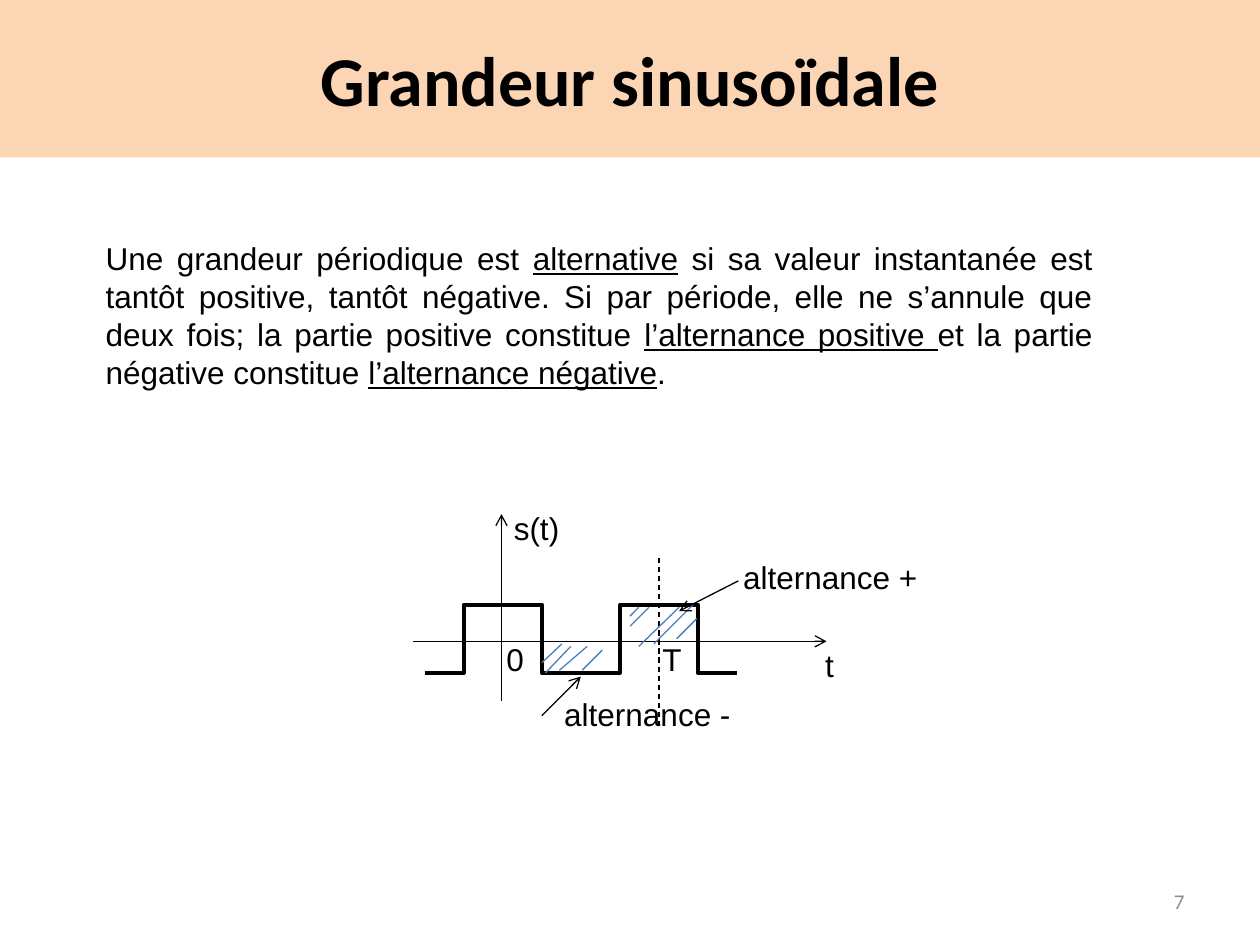
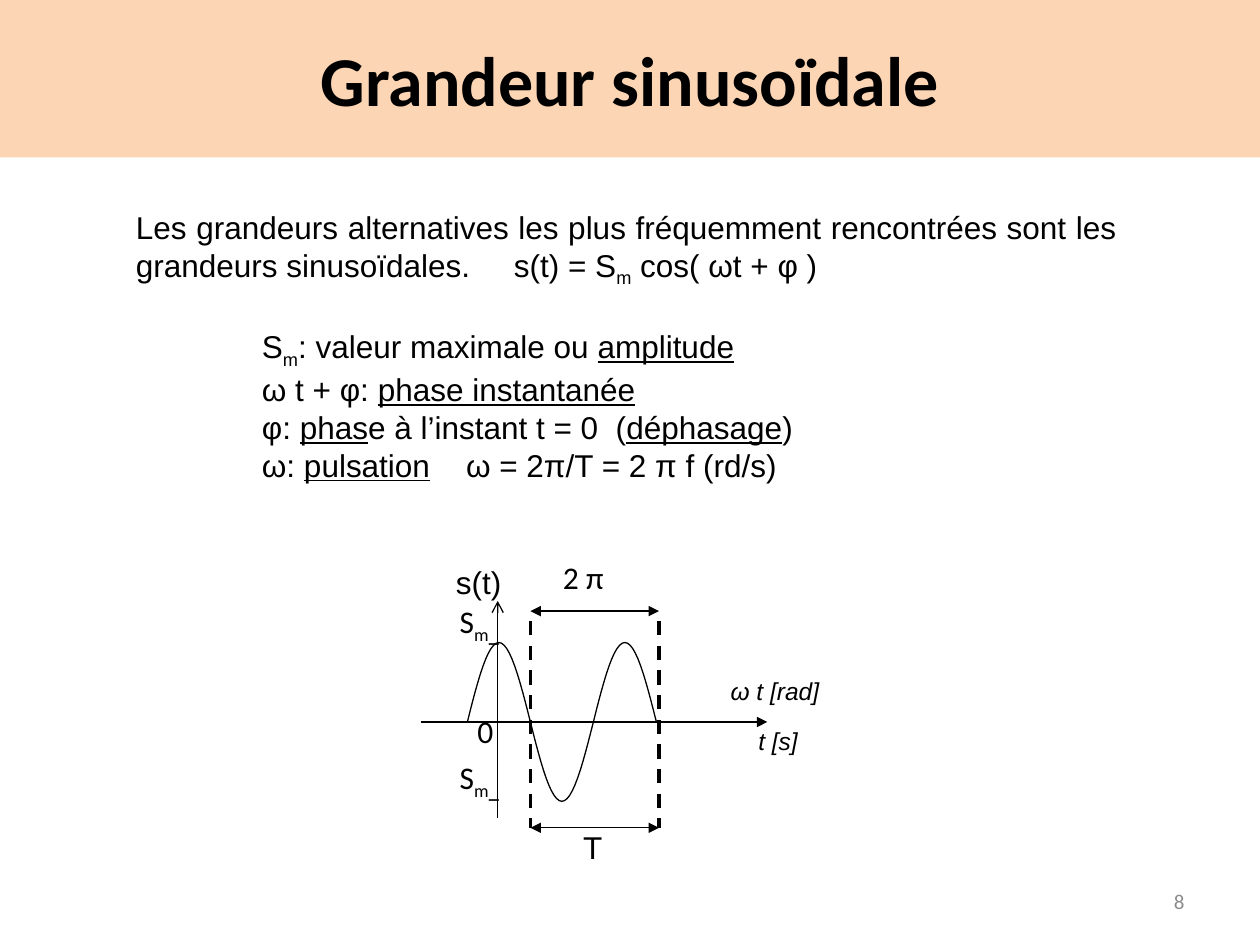
import math

from lxml import etree
from pptx import Presentation
from pptx import util as u
from pptx.dml.color import RGBColor
from pptx.enum import dml, shapes, text
from pptx.oxml.ns import qn

BLACK = RGBColor(0x00, 0x00, 0x00)
PEACH = RGBColor(0xFC, 0xD5, 0xB5)
HATCH_BLUE = RGBColor(0x4B, 0x7E, 0xBC)
NUMBER_GREY = RGBColor(0x8C, 0x8C, 0x8C)
LEFT, CENTER = text.PP_ALIGN.LEFT, text.PP_ALIGN.CENTER
RIGHT, JUSTIFY = text.PP_ALIGN.RIGHT, text.PP_ALIGN.JUSTIFY
STRAIGHT, ELBOW = shapes.MSO_CONNECTOR.STRAIGHT, shapes.MSO_CONNECTOR.ELBOW


def add_text(slide, box, paragraphs, size=18, font="Arial", color=BLACK,
             align=LEFT, wrap=False, italic=False):
    """Each paragraph is a list of (words, style); style is "", "under", "sub" or "tick"."""
    shape = slide.shapes.add_textbox(*map(u.Inches, box))
    frame = shape.text_frame
    frame.word_wrap = wrap
    frame.auto_size = text.MSO_AUTO_SIZE.SHAPE_TO_FIT_TEXT
    for index, pieces in enumerate(paragraphs):
        paragraph = frame.add_paragraph() if index else frame.paragraphs[0]
        paragraph.alignment = align
        for words, style in pieces:
            run = paragraph.add_run()
            run.text = words
            run.font.size = u.Pt(20 if style == "tick" else size)
            run.font.name = font
            run.font.color.rgb = color
            run.font.italic = italic
            run.font.underline = style == "under"
            run.font.bold = style == "tick"
            if style in ("sub", "tick"):
                run.font._element.set("baseline", "-25000")
    return frame


def add_line(slide, start, end, width=0.75, color=BLACK, kind=STRAIGHT,
             head=None, tail=None, dashed=False):
    connector = slide.shapes.add_connector(kind, *map(u.Inches, (*start, *end)))
    connector.line.width = u.Pt(width)
    connector.line.color.rgb = color
    if dashed:
        connector.line.dash_style = dml.MSO_LINE.DASH
    for tag, arrow in (("a:headEnd", head), ("a:tailEnd", tail)):
        if arrow:
            etree.SubElement(connector.line._get_or_add_ln(), qn(tag), type=arrow)
    etree.SubElement(connector._element.spPr, qn("a:effectLst"))


presentation = Presentation()
presentation.slide_width, presentation.slide_height = u.Inches(10), u.Inches(7.5)

# Shared title band and slide number
slides = []
for number in (7, 8):
    slide = presentation.slides.add_slide(presentation.slide_layouts[6])
    slides.append(slide)
    band = slide.shapes.add_shape(shapes.MSO_SHAPE.RECTANGLE, 0, 0,
                                  presentation.slide_width, u.Inches(1.25))
    band.shadow.inherit = False
    band.fill.solid()
    band.fill.fore_color.rgb = PEACH
    band.line.fill.background()
    band.text_frame.text = "Grandeur sinusoïdale"
    band.text_frame.vertical_anchor = text.MSO_ANCHOR.MIDDLE
    paragraph = band.text_frame.paragraphs[0]
    paragraph.alignment = CENTER
    title_font = paragraph.runs[0].font
    title_font.name, title_font.size, title_font.bold = "Calibri", u.Pt(40), True
    title_font.color.rgb = BLACK
    add_text(slide, (7.17, 7, 2.33, 0.3), [[(str(number), "")]], size=12,
             font="Calibri", color=NUMBER_GREY, align=RIGHT, wrap=True)
square_slide, sine_slide = slides

# Slide 7: definition of an alternating quantity
add_text(square_slide, (0.74, 1.85, 8.03, 1.35), [[
    ("Une grandeur périodique est ", ""),
    ("alternative", "under"),
    (" si sa valeur instantanée est tantôt positive, tantôt négative. Si par période, "
     "elle ne s’annule que deux fois; la partie positive constitue ", ""),
    ("l’alternance positive ", "under"),
    ("et la partie négative constitue ", ""),
    ("l’alternance négative", "under"),
    (".", ""),
]], align=JUSTIFY, wrap=True)

# Axes and period mark
add_line(square_slide, (3.28, 5.09), (6.56, 5.09), tail="arrow")
add_line(square_slide, (3.98, 5.56), (3.98, 4.08), tail="arrow")
add_line(square_slide, (5.23, 4.43), (5.23, 5.75), dashed=True)

# Square wave: each elbow goes from one level to the other
levels = (5.34, 4.8)
wave_left, wave_step = 3.37, 0.62
for step in range(4):
    left = wave_left + step * wave_step
    add_line(square_slide, (left, levels[step % 2]),
             (left + wave_step, levels[(step + 1) % 2]), width=2.25, kind=ELBOW)

# Hatching of the positive, then the negative half-wave
for x1, y1, x2, y2 in (
        (5, 4.89, 5.07, 4.82), (5, 4.97, 5.15, 4.82), (5.07, 5.13, 5.39, 4.82),
        (5.19, 5.11, 5.5, 4.8), (5.37, 5.07, 5.53, 4.91),
        (4.62, 5.32, 4.78, 5.16), (4.44, 5.32, 4.66, 5.13),
        (4.33, 5.34, 4.53, 5.13), (4.3, 5.26, 4.46, 5.11)):
    add_line(square_slide, (x1, y1), (x2, y2), color=HATCH_BLUE)

# Labels and their arrows
add_line(square_slide, (5.86, 4.61), (5.39, 4.85), tail="arrow")
add_line(square_slide, (4.3, 5.68), (4.61, 5.37), tail="arrow")
for label, left, top, width in (
        ("0", 3.92, 5.03, 0.34), ("T", 5.16, 5.03, 0.36), ("t", 6.45, 5.08, 0.27),
        ("s(t)", 3.98, 3.99, 0.57), ("alternance +", 5.8, 4.38, 1.6),
        ("alternance -", 4.38, 5.47, 1.53)):
    add_text(square_slide, (left, top, width, 0.4), [[(label, "")]])

# Slide 8: formula and its terms
formula_frame = add_text(sine_slide, (0.98, 1.6, 7.98, 2.6), [
    [("Les grandeurs alternatives les plus fréquemment rencontrées sont les grandeurs "
      "sinusoïdales.\ts(t) = S", ""), ("m", "sub"), (" cos( ωt + φ )", "")],
    [("\tS", ""), ("m", "sub"), (": valeur maximale ou ", ""), ("amplitude", "under")],
    [("\tω t + φ: ", ""), ("phase instantanée", "under")],
    [("\tφ: ", ""), ("phas", "under"), ("e à l’instant t = 0  (", ""),
     ("déphasage", "under"), (")", "")],
    [("\tω: ", ""), ("pulsation", "under"), ("\tω = 2π/T = 2 π f (rd/s)", "")],
], wrap=True)
formula_frame.paragraphs[0].alignment = JUSTIFY
formula_frame.paragraphs[1].space_before = u.Pt(22)
for index, paragraph in enumerate(formula_frame.paragraphs):
    tab_list = etree.SubElement(paragraph._p.get_or_add_pPr(), qn("a:tabLst"))
    for stop in (1, 2.62) if index else (3,):
        etree.SubElement(tab_list, qn("a:tab"), pos=str(u.Inches(stop)), algn="l")

# Axes
axis_y = 5.73
add_line(sine_slide, (3.34, axis_y), (6.09, axis_y), tail="triangle")
add_line(sine_slide, (3.95, 6.49), (3.95, 4.77), tail="arrow")

# Sine curve: three half-waves
curve_left, half_period, amplitude, points_per_half = 3.71, 0.5, 0.63, 24
curve = [(u.Inches(curve_left + half_period * i / points_per_half),
          u.Inches(axis_y - amplitude * math.sin(math.pi * i / points_per_half)))
         for i in range(3 * points_per_half + 1)]
builder = sine_slide.shapes.build_freeform(*curve[0])
builder.add_line_segments(curve[1:], close=False)
sine = builder.convert_to_shape()
sine.shadow.inherit = False
sine.fill.background()
sine.line.color.rgb = BLACK
sine.line.width = u.Pt(0.75)

# One period: dashed limits and double arrows
period_start, period_end = 4.21, 5.23
for x in (period_start, period_end):
    add_line(sine_slide, (x, 4.93), (x, 6.57), width=2, dashed=True)
for y in (4.85, 6.57):
    add_line(sine_slide, (period_start, y), (period_end, y),
             head="triangle", tail="triangle")

# Labels
for top in (4.7, 5.94):
    add_text(sine_slide, (3.55, top, 0.55, 0.44),
             [[("S", ""), ("m", "sub"), ("_", "tick")]], font="Calibri")
for label, left, top, width, size, font, italic in (
        ("2 π", 4.37, 4.38, 0.63, 18, "Calibri", False),
        ("0", 3.69, 5.6, 0.33, 18, "Calibri", False),
        ("T", 4.53, 6.52, 0.36, 18, "Arial", False),
        ("s(t)", 3.52, 4.42, 0.57, 18, "Arial", False),
        ("t [s]", 5.92, 5.71, 0.57, 14, "Arial", True),
        ("ω t [rad]", 5.7, 5.32, 0.96, 14, "Arial", True)):
    add_text(sine_slide, (left, top, width, 0.4), [[(label, "")]],
             size=size, font=font, italic=italic)

presentation.save("out.pptx")
